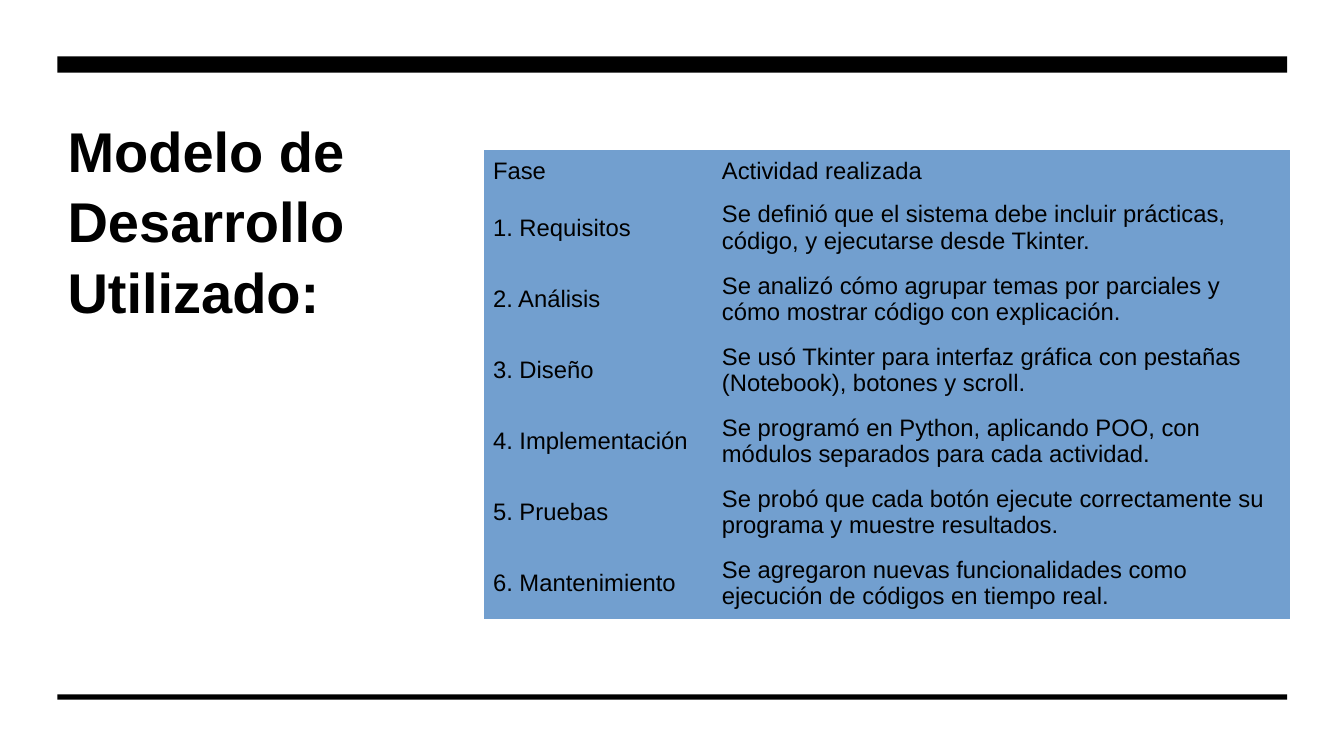
import pptx
import pptx.dml.color
import pptx.enum.shapes
import pptx.enum.text
import pptx.util

COLORS = {"ink": "000000", "paper": "FFFFFF", "cell": "729FCF"}
TITLE_FONT = {"name": "Arial", "size": pptx.util.Pt(40), "bold": True}
TABLE_FONT = {"name": "Arial", "size": pptx.util.Pt(17), "bold": False}
TOP_ANCHOR = pptx.enum.text.MSO_ANCHOR.TOP
MIDDLE_ANCHOR = pptx.enum.text.MSO_ANCHOR.MIDDLE
PLAIN_STYLE = "{2D5ABB26-0587-4C30-8999-92F81FD0307C}"

WIDTH, HEIGHT = pptx.util.Inches(13.33), pptx.util.Inches(7.5)
LEFT, SPAN = 4.28, 91.5  # percent of the slide's width
PHASE_COLS = (17.03, 42.91)
HEADER_ROW, PHASE_ROW = 5.6, 9.4

PHASES = [
    ("Fase", "Actividad realizada"),
    ("1. Requisitos", "Se definió que el sistema debe incluir prácticas, código, y ejecutarse desde Tkinter."),
    ("2. Análisis", "Se analizó cómo agrupar temas por parciales y cómo mostrar código con explicación."),
    ("3. Diseño", "Se usó Tkinter para interfaz gráfica con pestañas (Notebook), botones y scroll."),
    ("4. Implementación", "Se programó en Python, aplicando POO, con módulos separados para cada actividad."),
    ("5. Pruebas", "Se probó que cada botón ejecute correctamente su programa y muestre resultados."),
    ("6. Mantenimiento", "Se agregaron nuevas funcionalidades como ejecución de códigos en tiempo real."),
]


def across(percent):
    return round(WIDTH * percent / 100)


def down(percent):
    return round(HEIGHT * percent / 100)


def box(x, y, w, h):
    """Turn percentages of the slide into left, top, width and height."""
    return across(x), down(y), across(w), down(h)


def set_all(obj, values):
    for name, value in values.items():
        setattr(obj, name, value)


def paint(fill, color):
    fill.solid()
    fill.fore_color.rgb = pptx.dml.color.RGBColor.from_string(COLORS[color])


def format_font(font, values):
    set_all(font, values)
    font.color.rgb = pptx.dml.color.RGBColor.from_string(COLORS["ink"])


def add_title(s, text, area):
    sp = s.shapes.title
    set_all(sp, dict(zip(("left", "top", "width", "height"), area)))
    tf = sp.text_frame
    tf.text = text
    set_all(tf, {"word_wrap": True, "vertical_anchor": TOP_ANCHOR,
                 "auto_size": pptx.enum.text.MSO_AUTO_SIZE.NONE})
    p = tf.paragraphs[0]
    set_all(p, {"alignment": pptx.enum.text.PP_ALIGN.LEFT, "line_spacing": 1.05})
    format_font(p.runs[0].font, TITLE_FONT)


def add_bar(s, y, h):
    sp = s.shapes.add_shape(pptx.enum.shapes.MSO_SHAPE.RECTANGLE, *box(LEFT, y, SPAN, h))
    sp.shadow.inherit = False
    paint(sp.fill, "ink")
    sp.line.fill.background()


def add_phase_table(s, x, y):
    heights = [HEADER_ROW] + [PHASE_ROW] * (len(PHASES) - 1)
    area = box(x, y, sum(PHASE_COLS), sum(heights))
    table = s.shapes.add_table(len(PHASES), len(PHASE_COLS), *area).table
    set_all(table, {"first_row": False, "horz_banding": False})
    table._tbl.tblPr[0].text = PLAIN_STYLE
    for column, w in zip(table.columns, PHASE_COLS):
        column.width = across(w)
    for row, h, texts in zip(table.rows, heights, PHASES):
        row.height = down(h)
        for cell, text in zip(row.cells, texts):
            cell.text = text
            set_all(cell, {"vertical_anchor": MIDDLE_ANCHOR,
                           "margin_left": pptx.util.Inches(0.09),
                           "margin_right": pptx.util.Inches(0.09)})
            paint(cell.fill, "cell")
            format_font(cell.text_frame.paragraphs[0].runs[0].font, TABLE_FONT)


def main():
    prs = pptx.Presentation()
    set_all(prs, {"slide_width": WIDTH, "slide_height": HEIGHT})
    s = prs.slides.add_slide(prs.slide_layouts.get_by_name("Title Only"))
    paint(s.background.fill, "paper")
    add_title(s, "Modelo de Desarrollo Utilizado:", box(LEFT, 14.27, 25.88, 59.33))
    add_bar(s, 7.47, 2.13)
    add_bar(s, 91.87, 0.67)
    add_phase_table(s, 36.01, 19.87)
    prs.save("out.pptx")


if __name__ == "__main__":
    main()
